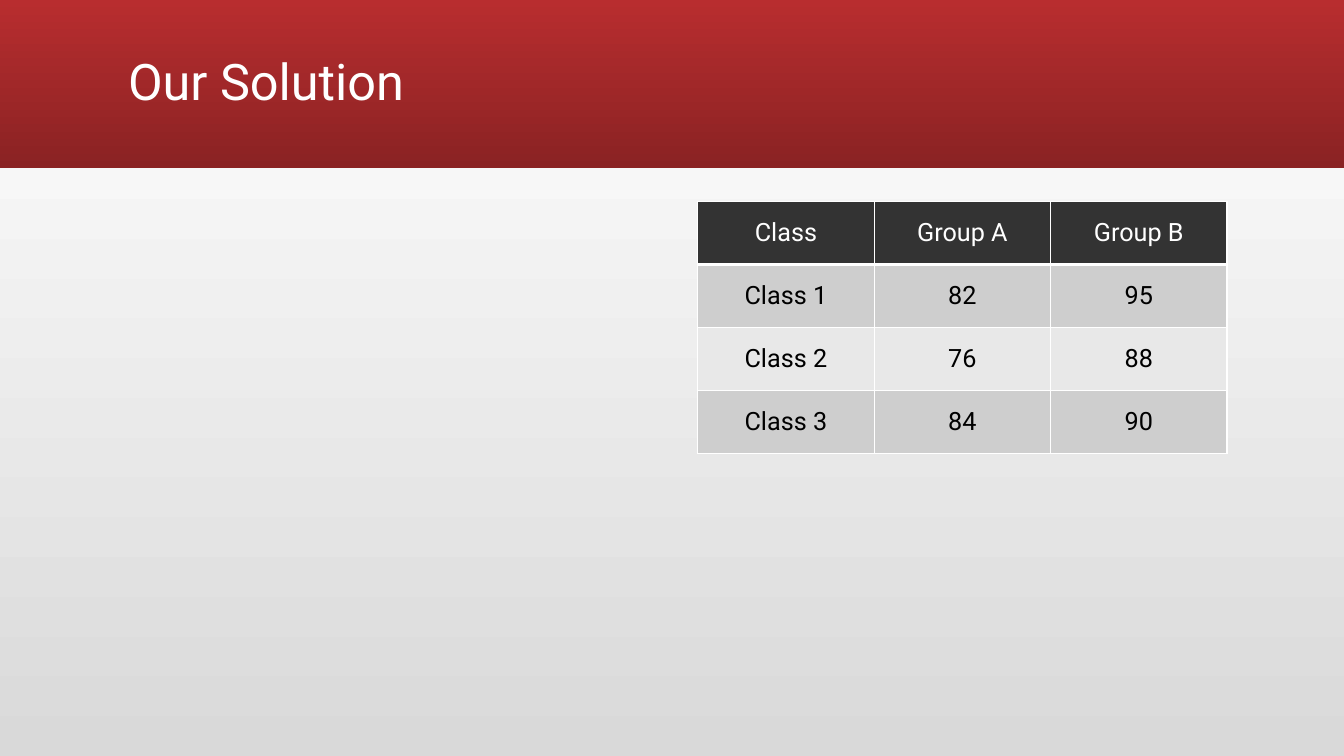
import dataclasses

import lxml.etree
import pptx
import pptx.dml.color
import pptx.dml.fill
import pptx.enum.shapes
import pptx.enum.text
import pptx.oxml.ns
import pptx.slide
import pptx.table
import pptx.text.text
import pptx.util

Inches = pptx.util.Inches
FONT = "Roboto"
COLORS = {
    "white": "FFFFFF",
    "black": "000000",
    "gray": "D9D9D9",
    "red": "B82D2F",
    "wine": "8A2223",
    "head": "333333",
    "dark": "CECECE",
    "light": "E8E8E8",
}


@dataclasses.dataclass
class Row:
    texts: tuple[str, ...]
    fill: str
    ink: str = "black"
    top: float = 1
    bottom: float = 1


ROWS = [
    Row(("Class", "Group A", "Group B"), "head", "white", bottom=3),
    Row(("Class 1", "82", "95"), "dark", top=3),
    Row(("Class 2", "76", "88"), "light"),
    Row(("Class 3", "84", "90"), "dark"),
]


def get_rgb(name: str) -> pptx.dml.color.RGBColor:
    return pptx.dml.color.RGBColor.from_string(COLORS[name])


def blend(fill: pptx.dml.fill.FillFormat, names: tuple[str, str], angle: float) -> None:
    fill.gradient()
    fill.gradient_angle = angle
    for stop, name in zip(fill.gradient_stops, names):
        stop.color.rgb = get_rgb(name)


def write(frame: pptx.text.text.TextFrame, text: str, size: float, ink: str,
          align: pptx.enum.text.PP_ALIGN) -> None:
    frame.text = text
    part = frame.paragraphs[0]
    part.alignment = align
    font = part.runs[0].font
    font.name = FONT
    font.size = pptx.util.Pt(size)
    font.bold = False
    font.color.rgb = get_rgb(ink)


def edge(cell: pptx.table._Cell, row: Row) -> None:
    props = cell._tc.get_or_add_tcPr()
    sides = {"lnL": 1, "lnR": 1, "lnT": row.top, "lnB": row.bottom}
    for index, (side, width) in enumerate(sides.items()):
        line = lxml.etree.Element(pptx.oxml.ns.qn(f"a:{side}"), w=str(pptx.util.Pt(width)))
        fill = lxml.etree.SubElement(line, pptx.oxml.ns.qn("a:solidFill"))
        lxml.etree.SubElement(fill, pptx.oxml.ns.qn("a:srgbClr"), val=COLORS["white"])
        props.insert(index, line)


def add_title(slide: pptx.slide.Slide, width: int) -> None:
    title = slide.shapes.title
    title.left, title.top = Inches(1.17), Inches(0.11)
    title.width, title.height = Inches(11), Inches(1.45)
    frame = title.text_frame
    frame.auto_size = pptx.enum.text.MSO_AUTO_SIZE.NONE
    frame.vertical_anchor = pptx.enum.text.MSO_ANCHOR.MIDDLE
    write(frame, "Our Solution", 36, "white", pptx.enum.text.PP_ALIGN.LEFT)
    frame.paragraphs[0].line_spacing = 0.9

    band = slide.shapes.add_shape(
        pptx.enum.shapes.MSO_SHAPE.RECTANGLE, 0, 0, width, Inches(1.67))
    band.shadow.inherit = False
    band.line.fill.background()
    blend(band.fill, ("red", "wine"), 270)
    title.element.addprevious(band.element)


def add_grid(slide: pptx.slide.Slide) -> None:
    grid = slide.shapes.add_table(
        len(ROWS), len(ROWS[0].texts),
        Inches(6.92), Inches(2), Inches(5.25), Inches(2.5)).table
    for line, row in zip(grid.rows, ROWS):
        for cell, text in zip(line.cells, row.texts):
            write(cell.text_frame, text, 18, row.ink, pptx.enum.text.PP_ALIGN.CENTER)
            cell.vertical_anchor = pptx.enum.text.MSO_ANCHOR.MIDDLE
            cell.fill.solid()
            cell.fill.fore_color.rgb = get_rgb(row.fill)
            edge(cell, row)


def main() -> None:
    deck = pptx.Presentation()
    deck.slide_width, deck.slide_height = Inches(13.33), Inches(7.5)
    slide = deck.slides.add_slide(deck.slide_layouts.get_by_name("Title Only"))
    blend(slide.background.fill, ("gray", "white"), 90)
    add_title(slide, deck.slide_width)
    add_grid(slide)
    deck.save("out.pptx")


if __name__ == "__main__":
    main()
